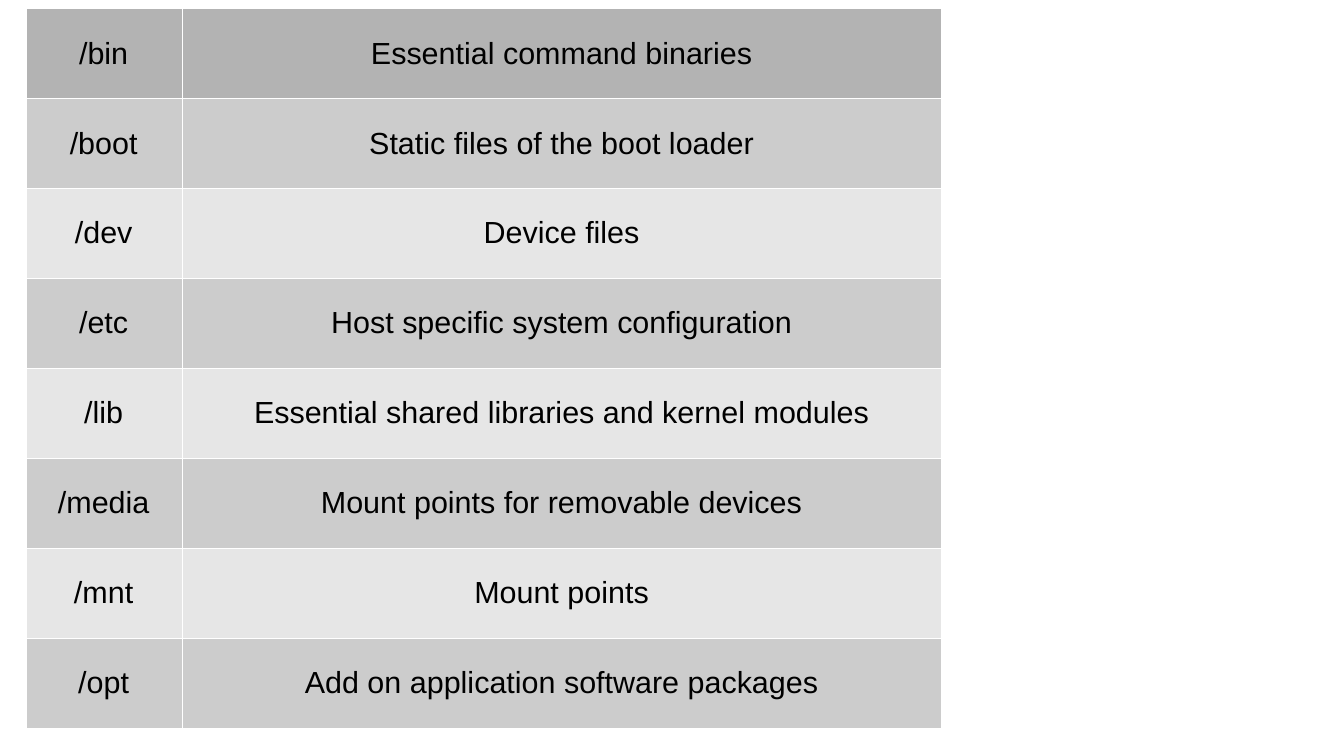
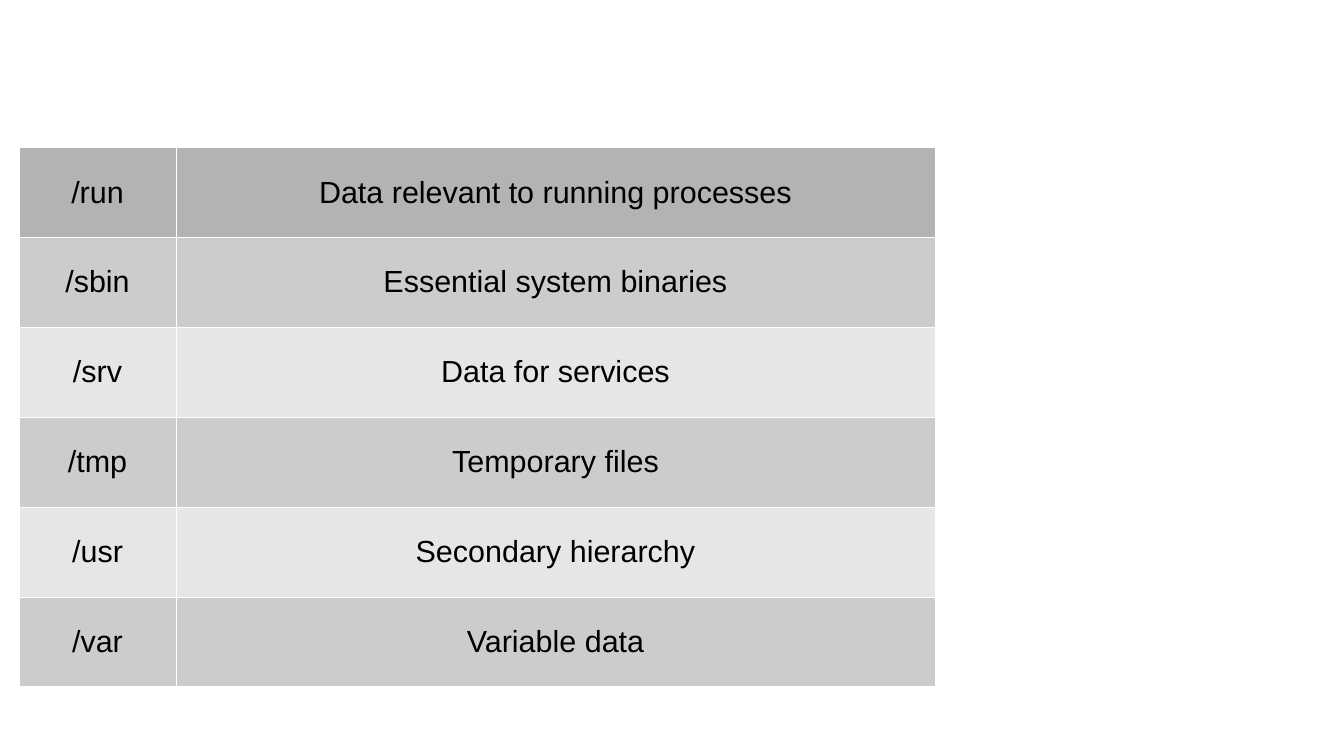
from lxml import etree
from pptx import Presentation
from pptx.dml.color import RGBColor
from pptx.enum.text import MSO_ANCHOR, PP_ALIGN
from pptx.oxml.ns import qn
from pptx.util import Inches, Pt

CENTER = PP_ALIGN.CENTER
MIDDLE = MSO_ANCHOR.MIDDLE

COLORS = {
    "page": "FFFFFF",
    "text": "000000",
    "border": "FFFFFF",
    "first_row": "B3B3B3",
    "odd_row": "CCCCCC",
    "even_row": "E6E6E6",
}
FONT = "Arial"
PAGE_SIZE = (11.02, 6.2)
COLUMN_SHARES = (1.28, 6.23)
BORDER_WIDTH = Pt(0.06)
BORDER_SIDES = ("a:lnL", "a:lnR", "a:lnT", "a:lnB")

DIRECTORY_PAGES = [
    ((0.21, 0.07, 7.51, 5.9), [
        ("/bin", "Essential command binaries"),
        ("/boot", "Static files of the boot loader"),
        ("/dev", "Device files"),
        ("/etc", "Host specific system configuration"),
        ("/lib", "Essential shared libraries and kernel modules"),
        ("/media", "Mount points for removable devices"),
        ("/mnt", "Mount points"),
        ("/opt", "Add on application software packages"),
    ]),
    ((0.16, 1.21, 7.51, 4.42), [
        ("/run", "Data relevant to running processes"),
        ("/sbin", "Essential system binaries"),
        ("/srv", "Data for services"),
        ("/tmp", "Temporary files"),
        ("/usr", "Secondary hierarchy"),
        ("/var", "Variable data"),
    ]),
]


def rgb(name):
    return RGBColor.from_string(COLORS[name])


def write_text(frame, text, size=18, color="text", align=CENTER):
    para = frame.paragraphs[0]
    para.alignment = align
    span = para.add_run()
    span.text = text
    span.font.name = FONT
    span.font.size = Pt(size)
    span.font.color.rgb = rgb(color)


def add_borders(cell):
    properties = cell._tc.get_or_add_tcPr()
    for side in BORDER_SIDES:
        line = etree.SubElement(properties, qn(side), w=str(int(BORDER_WIDTH)))
        fill = etree.SubElement(line, qn("a:solidFill"))
        etree.SubElement(fill, qn("a:srgbClr"), val=COLORS["border"])


def row_color(index):
    if index == 0:
        return "first_row"
    return "odd_row" if index % 2 else "even_row"


def format_cell(cell, text, fill):
    cell.vertical_anchor = MIDDLE
    cell.margin_left = cell.margin_right = Inches(0.1)
    cell.margin_top = cell.margin_bottom = Inches(0.05)
    add_borders(cell)
    cell.fill.solid()
    cell.fill.fore_color.rgb = rgb(fill)
    write_text(cell.text_frame, text)


def add_directory_table(page, box, entries):
    left, top, width, height = box
    frame = page.shapes.add_table(
        len(entries), len(COLUMN_SHARES),
        Inches(left), Inches(top), Inches(width), Inches(height))
    table = frame.table
    for column, share in zip(table.columns, COLUMN_SHARES):
        column.width = Inches(width * share / sum(COLUMN_SHARES))
    for index, entry in enumerate(entries):
        table.rows[index].height = Inches(height / len(entries))
        for position, text in enumerate(entry):
            format_cell(table.cell(index, position), text, row_color(index))


def add_directory_page(deck, box, entries):
    page = deck.slides.add_slide(deck.slide_layouts[6])
    page.background.fill.solid()
    page.background.fill.fore_color.rgb = rgb("page")
    add_directory_table(page, box, entries)


def main():
    deck = Presentation()
    deck.slide_width, deck.slide_height = map(Inches, PAGE_SIZE)
    for box, entries in DIRECTORY_PAGES:
        add_directory_page(deck, box, entries)
    deck.save("out.pptx")


if __name__ == "__main__":
    main()
